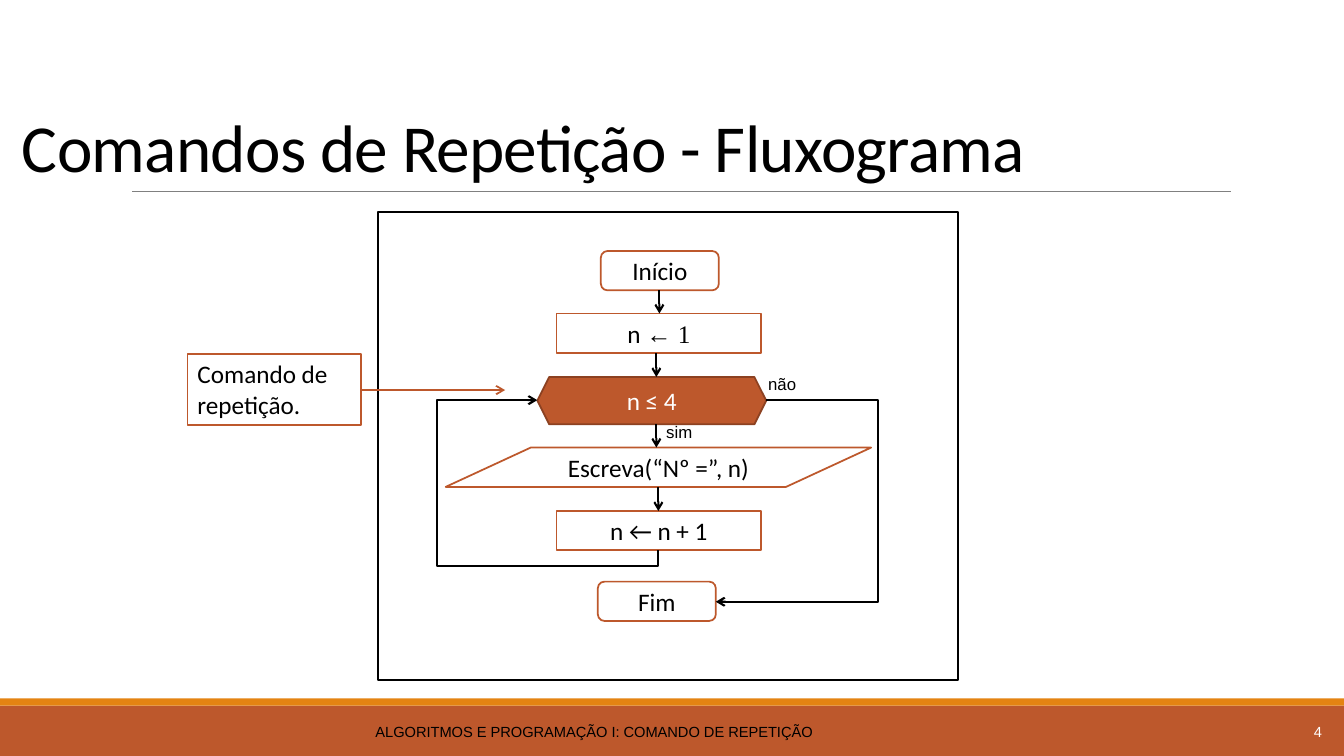
from lxml import etree
from pptx import Presentation
from pptx.dml.color import RGBColor
from pptx.enum import shapes, text
from pptx.oxml import ns
from pptx.util import Inches, Pt

KIND = shapes.MSO_SHAPE
ALIGN = text.PP_ALIGN
ANCHOR = text.MSO_ANCHOR
BLACK, WHITE, RUST, DARK_RUST, ORANGE, GRAY = (
    "000000", "FFFFFF", "BD582C", "8C4121", "E48312", "808080")

# left, top, width, height, fill, line colour
BACKDROP = [
    ((0, 7, 13.33, 0.5), RUST, None),
    ((0, 6.93, 13.33, 0.07), ORANGE, None),
    ((3.75, 2.1, 5.75, 4.65), None, BLACK),
]
TITLE = "Comandos de Repetição - Fluxograma"
FOOTER = "ALGORITMOS E PROGRAMAÇÃO I: COMANDO DE REPETIÇÃO"
PAGE_NUMBER = "4"
CALLOUT = "Comando de repetição."
BRANCH_LABELS = [("sim", (6.51, 4.13, 0.46, 0.3)),
                 ("não", (7.52, 3.66, 0.48, 0.3))]

# kind, box, runs as (text, font), fill, line colour, text colour
STEPS = [
    (KIND.ROUNDED_RECTANGLE, (5.96, 2.49, 1.17, 0.39),
     [("Início", "Calibri")], WHITE, RUST, BLACK),
    (KIND.RECTANGLE, (5.52, 3.11, 2.03, 0.39),
     [("n ", "Calibri"), ("← 1", "Times New Roman")], WHITE, RUST, BLACK),
    (KIND.HEXAGON, (5.33, 3.74, 2.27, 0.47),
     [("n ≤ 4", "Calibri")], RUST, DARK_RUST, WHITE),
    (KIND.FLOWCHART_DATA, (4.42, 4.44, 4.22, 0.39),
     [("Escreva(“Nº =”, n)", "Calibri")], WHITE, RUST, BLACK),
    (KIND.RECTANGLE, (5.52, 5.07, 2.03, 0.39),
     [("n ← n + 1", "Calibri")], WHITE, RUST, BLACK),
    (KIND.ROUNDED_RECTANGLE, (5.93, 5.77, 1.17, 0.39),
     [("Fim", "Calibri")], WHITE, RUST, BLACK),
]
FLOW_X = [6.54, 6.51, 6.51, 6.53]  # arrow below each of the first four steps
LOOP_START, LOOP_END = (6.53, 5.46), (5.33, 3.97)
LOOP_BOTTOM, LOOP_LEFT = 5.62, 4.33
EXIT_START, EXIT_END, EXIT_RIGHT = (7.6, 3.97), (7.1, 5.97), 8.71


def color(value):
    return RGBColor.from_string(value)


def add_box(slide, kind, box, fill, line):
    shape = slide.shapes.add_shape(kind, *map(Inches, box))
    shape.shadow.inherit = False
    if fill:
        shape.fill.solid()
        shape.fill.fore_color.rgb = color(fill)
    else:
        shape.fill.background()
    if line:
        shape.line.color.rgb = color(line)
        shape.line.width = Pt(1.25)
    else:
        shape.line.fill.background()
    return shape


def write(shape, runs, size, ink, align=ALIGN.LEFT, anchor=ANCHOR.MIDDLE, wrap=True):
    """Fill the shape with one paragraph made of (text, font) runs."""
    frame = shape.text_frame
    frame.word_wrap = wrap
    frame.vertical_anchor = anchor
    paragraph = frame.paragraphs[0]
    paragraph.alignment = align
    paragraph.font.size = Pt(size)
    paragraph.font.color.rgb = color(ink)
    paragraph.font.name = runs[0][1]
    for words, font in runs:
        run = paragraph.add_run()
        run.text = words
        if font != runs[0][1]:
            run.font.name = font
    return paragraph


def add_text(slide, box, words, font, size, ink, **layout):
    label = slide.shapes.add_textbox(*map(Inches, box))
    return write(label, [(words, font)], size, ink, **layout)


def add_line(slide, start, end, ink, width, arrow=True, kind=shapes.MSO_CONNECTOR.STRAIGHT):
    line = slide.shapes.add_connector(kind, *map(Inches, start + end))
    line.line.color.rgb = color(ink)
    line.line.width = Pt(width)
    if arrow:
        etree.SubElement(line.line._get_or_add_ln(), ns.qn("a:tailEnd"), type="arrow")
    etree.SubElement(line._element.spPr, ns.qn("a:effectLst"))
    return line


def bend(connector, preset, ratios):
    """Set the elbow preset and its bends, as shares of its width or height."""
    geometry = connector._element.spPr.find(ns.qn("a:prstGeom"))
    geometry.set("prst", preset)
    guides = geometry.find(ns.qn("a:avLst"))
    for number, ratio in enumerate(ratios, 1):
        etree.SubElement(guides, ns.qn("a:gd"), name=f"adj{number}",
                         fmla=f"val {round(ratio * 100000)}")


def add_exit(slide):
    (x1, _), (x2, _) = EXIT_START, EXIT_END
    path = add_line(slide, EXIT_START, EXIT_END, BLACK, 1.5,
                    kind=shapes.MSO_CONNECTOR.ELBOW)
    bend(path, "bentConnector3", [(x1 - EXIT_RIGHT) / (x1 - x2)])


def add_loop(slide):
    """Draw the way back to the test as an elbow turned by 90 degrees."""
    (x1, y1), (x2, y2) = LOOP_START, LOOP_END
    across, up = x1 - x2, y1 - y2
    mid_x, mid_y = (x1 + x2) / 2, (y1 + y2) / 2
    path = add_line(slide, (mid_x + up / 2, mid_y - across / 2),
                    (mid_x - up / 2, mid_y + across / 2), BLACK, 1.5,
                    kind=shapes.MSO_CONNECTOR.ELBOW)
    path._element.spPr.xfrm.set("rot", str(90 * 60000))
    bend(path, "bentConnector4", [(y1 - LOOP_BOTTOM) / up, (x1 - LOOP_LEFT) / across])


def main():
    deck = Presentation()
    deck.slide_width, deck.slide_height = Inches(13.33), Inches(7.5)
    slide = deck.slides.add_slide(deck.slide_layouts[6])

    for box, fill, line in BACKDROP:
        add_box(slide, KIND.RECTANGLE, box, fill, line)
    add_line(slide, (1.31, 1.9), (12.21, 1.9), GRAY, 0.5, arrow=False)

    title = add_text(slide, (0.12, 0.31, 13.1, 1.59), TITLE, "Calibri", 48, BLACK,
                     anchor=ANCHOR.BOTTOM)
    title.line_spacing = 0.85
    title.runs[0].font._element.set("spc", "-50")
    add_text(slide, (0.12, 7.06, 11.55, 0.4), FOOTER, "Arial", 10.5, BLACK,
             align=ALIGN.CENTER)
    add_text(slide, (11.78, 7.06, 1.43, 0.4), PAGE_NUMBER, "Arial", 10.5, WHITE,
             align=ALIGN.RIGHT)

    callout = add_box(slide, KIND.RECTANGLE, (1.86, 3.51, 1.72, 0.71), WHITE, RUST)
    write(callout, [(CALLOUT, "Calibri")], 18, BLACK, anchor=ANCHOR.TOP)
    add_line(slide, (3.59, 3.87), (5.01, 3.87), RUST, 1.25)

    for kind, box, runs, fill, line, ink in STEPS:
        write(add_box(slide, kind, box, fill, line), runs, 18, ink, align=ALIGN.CENTER)
    for x, upper, lower in zip(FLOW_X, STEPS, STEPS[1:]):
        _, top, _, height = upper[1]
        add_line(slide, (x, top + height), (x, lower[1][1]), BLACK, 1.5)
    add_exit(slide)
    add_loop(slide)
    for words, box in BRANCH_LABELS:
        add_text(slide, box, words, "Arial", 12, BLACK, anchor=ANCHOR.TOP, wrap=False)

    deck.save("out.pptx")


if __name__ == "__main__":
    main()
